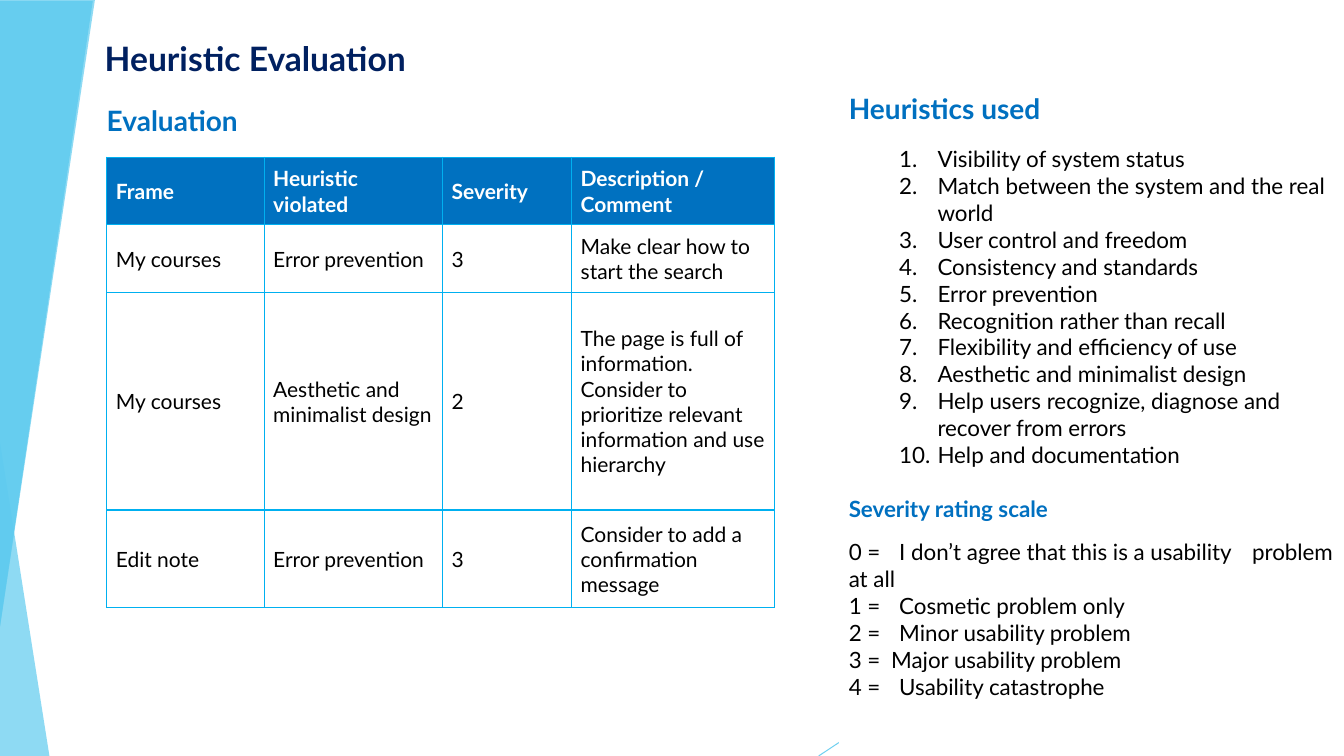
from dataclasses import dataclass

from lxml.etree import SubElement
from pptx import Presentation
from pptx.dml.color import RGBColor
from pptx.enum.shapes import MSO_CONNECTOR as Connector, MSO_SHAPE as Preset
from pptx.enum.text import MSO_ANCHOR as Anchor, MSO_AUTO_SIZE as AutoSize, PP_ALIGN as Align
from pptx.oxml.ns import qn
from pptx.util import Inches, Pt

FONT = "Lato"
WHITE, BLACK = "FFFFFF", "000000"
NAVY, BLUE, HEADER_BLUE = "002060", "0070C0", "0071C0"
SKY, BORDER = "5FCBEF", "00B0F0"


@dataclass
class Wedge:
    left: float
    top: float
    width: float
    height: float
    apex: float
    turn: float
    opacity: int


@dataclass
class Line:
    text: str
    size: float = 16
    color: str = BLACK
    bold: bool = False
    before: float = 0
    numbered: bool = False
    tabs: tuple[float, ...] = ()


@dataclass
class Heading:
    left: float
    top: float
    width: float
    height: float
    line: Line


LOWER_WEDGE = Wedge(0, 4.39, 0.49, 3.11, 0, 0, 70)
UPPER_WEDGE = Wedge(0, 0.01, 0.92, 6.2, 1, 180, 85)
FACET = [(0, 0), (0.94, -0.01), (0.94, 0.01), (0, 6.22)]

HEADINGS = [
    Heading(0.94, 0.33, 3.74, 0.5, Line("Heuristic Evaluation", 24, NAVY, True)),
    Heading(0.96, 0.98, 2.09, 0.44, Line("Evaluation", 20, BLUE, True)),
]

COLUMNS = [1.56, 1.77, 1.28, 2.01]
ROWS = [0.67, 0.67, 2.16, 0.97]
FINDINGS = [
    ("Frame", "Heuristic violated", "Severity", "Description / Comment"),
    ("My courses", "Error prevention", "3", "Make clear how to start the search"),
    ("My courses", "Aesthetic and minimalist design", "2",
     "The page is full of information. Consider to prioritize relevant "
     "information and use hierarchy"),
    ("Edit note", "Error prevention", "3", "Consider to add a confirmation message"),
]

HEURISTICS = [
    "Visibility of system status",
    "Match between the system and the real world",
    "User control and freedom",
    "Consistency and standards",
    "Error prevention",
    "Recognition rather than recall",
    "Flexibility and efficiency of use",
    "Aesthetic and minimalist design",
    "Help users recognize, diagnose and recover from errors",
    "Help and documentation",
]
SEVERITIES = [
    ("0 = \tI don’t agree that this is a usability \tproblem at all", (0.5, 4)),
    ("1 = \tCosmetic problem only", (0.5,)),
    ("2 = \tMinor usability problem", (0.5,)),
    ("3 = \tMajor usability problem", (0.42,)),
    ("4 = \tUsability catastrophe", (0.5,)),
]


def rgb(color: str) -> RGBColor:
    return RGBColor.from_string(color)


def set_opacity(properties, percent: int) -> None:
    for color in properties.iter(qn("a:srgbClr")):
        SubElement(color, qn("a:alpha"), val=str(percent * 1000))


def paint(shape, color: str, opacity: int = 100) -> None:
    shape.shadow.inherit = False
    shape.fill.solid()
    shape.fill.fore_color.rgb = rgb(color)
    shape.line.fill.background()
    if opacity < 100:
        set_opacity(shape._element.spPr, opacity)


def add_wedge(page, wedge: Wedge) -> None:
    shape = page.shapes.add_shape(
        Preset.ISOSCELES_TRIANGLE, Inches(wedge.left), Inches(wedge.top),
        Inches(wedge.width), Inches(wedge.height))
    shape.adjustments[0] = wedge.apex
    shape.rotation = wedge.turn
    paint(shape, SKY, wedge.opacity)


def add_facet(page) -> None:
    points = [(Inches(x), Inches(y)) for x, y in FACET]
    builder = page.shapes.build_freeform(*points[0], scale=1.0)
    builder.add_line_segments(points[1:], close=True)
    paint(builder.convert_to_shape(), SKY, 70)


def add_diagonal(page) -> None:
    diagonal = page.shapes.add_connector(
        Connector.STRAIGHT, Inches(13.33), Inches(4.03), Inches(8.12), Inches(7.5))
    diagonal.line.color.rgb = rgb(SKY)
    diagonal.line.width = Pt(0.75)
    set_opacity(diagonal._element.spPr, 90)
    SubElement(diagonal._element.spPr, qn("a:effectLst"))


def write(para, line: Line) -> None:
    para.text = line.text
    para.alignment = Align.LEFT
    properties = para._p.get_or_add_pPr()
    if line.numbered:
        para.level = 1
        properties.set("marL", str(Inches(0.88)))
        properties.set("indent", str(Inches(-0.38)))
        SubElement(properties, qn("a:buFont"), typeface="+mj-lt")
        SubElement(properties, qn("a:buAutoNum"), type="arabicPeriod")
    if line.tabs:
        stops = SubElement(properties, qn("a:tabLst"))
        for stop in line.tabs:
            SubElement(stops, qn("a:tab"), pos=str(Inches(stop)), algn="l")
    if line.before:
        para.space_before = Pt(line.before)
    para.font.name = FONT
    para.font.size = Pt(line.size)
    para.font.bold = line.bold
    para.font.color.rgb = rgb(line.color)


def add_heading(page, heading: Heading) -> None:
    box = page.shapes.add_textbox(Inches(heading.left), Inches(heading.top),
                                  Inches(heading.width), Inches(heading.height))
    box.text_frame.word_wrap = True
    write(box.text_frame.paragraphs[0], heading.line)


def set_borders(cell) -> None:
    properties = cell._tc.get_or_add_tcPr()
    for position, side in enumerate(("a:lnL", "a:lnR", "a:lnT", "a:lnB")):
        edge = properties.makeelement(qn(side), {"w": str(Pt(1))})
        properties.insert(position, edge)
        fill = SubElement(edge, qn("a:solidFill"))
        SubElement(fill, qn("a:srgbClr"), val=BORDER)


def add_findings(page) -> None:
    table = page.shapes.add_table(
        len(ROWS), len(COLUMNS), Inches(1.06), Inches(1.56),
        Inches(sum(COLUMNS)), Inches(sum(ROWS))).table
    for column, width in zip(table.columns, COLUMNS):
        column.width = Inches(width)
    for index, (row, height) in enumerate(zip(table.rows, ROWS)):
        row.height = Inches(height)
        header = index == 0
        for cell, text in zip(row.cells, FINDINGS[index]):
            cell.vertical_anchor = Anchor.MIDDLE
            cell.margin_left = cell.margin_right = Inches(0.09)
            cell.margin_top, cell.margin_bottom = Inches(0.01), 0
            if header:
                cell.fill.solid()
                cell.fill.fore_color.rgb = rgb(HEADER_BLUE)
            else:
                cell.fill.background()
            set_borders(cell)
            write(cell.text_frame.paragraphs[0],
                  Line(text, 15, WHITE if header else BLACK, header))


def add_reference_panel(page) -> None:
    panel = page.shapes.add_shape(
        Preset.RECTANGLE, Inches(8.32), Inches(-0.09), Inches(5.02), Inches(7.76))
    paint(panel, WHITE)
    frame = panel.text_frame
    frame.word_wrap = True
    frame.auto_size = AutoSize.NONE
    frame.vertical_anchor = Anchor.TOP
    frame.margin_top, frame.margin_bottom = Inches(1), 0
    lines = [Line("Heuristics used", 20, BLUE, True)]
    lines += [Line(text, before=0 if i else 14.4, numbered=True)
              for i, text in enumerate(HEURISTICS)]
    lines.append(Line("Severity rating scale", 16, BLUE, True, 19.2))
    lines += [Line(text, before=0 if i else 12, tabs=tabs)
              for i, (text, tabs) in enumerate(SEVERITIES)]
    for i, line in enumerate(lines):
        write(frame.add_paragraph() if i else frame.paragraphs[0], line)


def main() -> None:
    deck = Presentation()
    deck.slide_width, deck.slide_height = Inches(13.33), Inches(7.5)
    page = deck.slides.add_slide(deck.slide_layouts[6])
    # Decoration on the left and bottom edges
    add_wedge(page, LOWER_WEDGE)
    add_facet(page)
    add_diagonal(page)
    add_wedge(page, UPPER_WEDGE)
    # Evaluation table and headings
    add_findings(page)
    for heading in HEADINGS:
        add_heading(page, heading)
    # Heuristics and severity scale
    add_reference_panel(page)
    deck.save("out.pptx")


if __name__ == "__main__":
    main()
